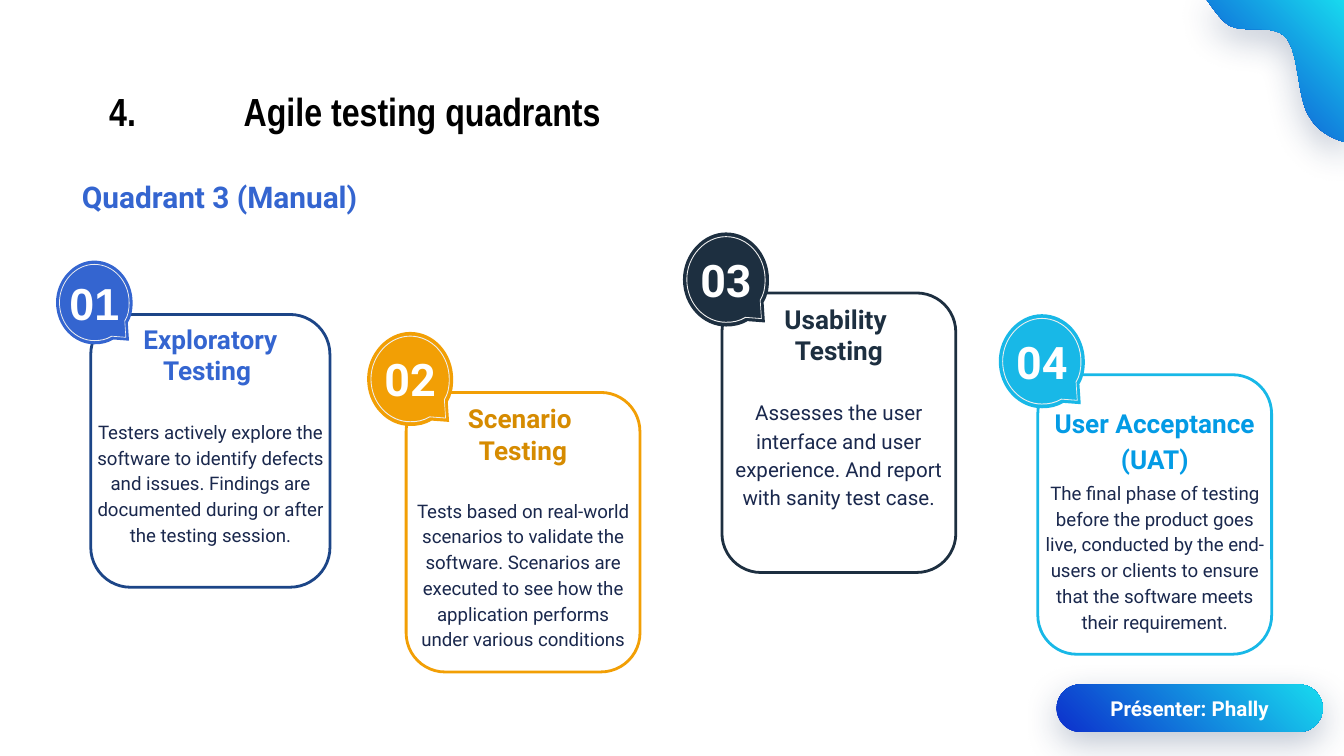
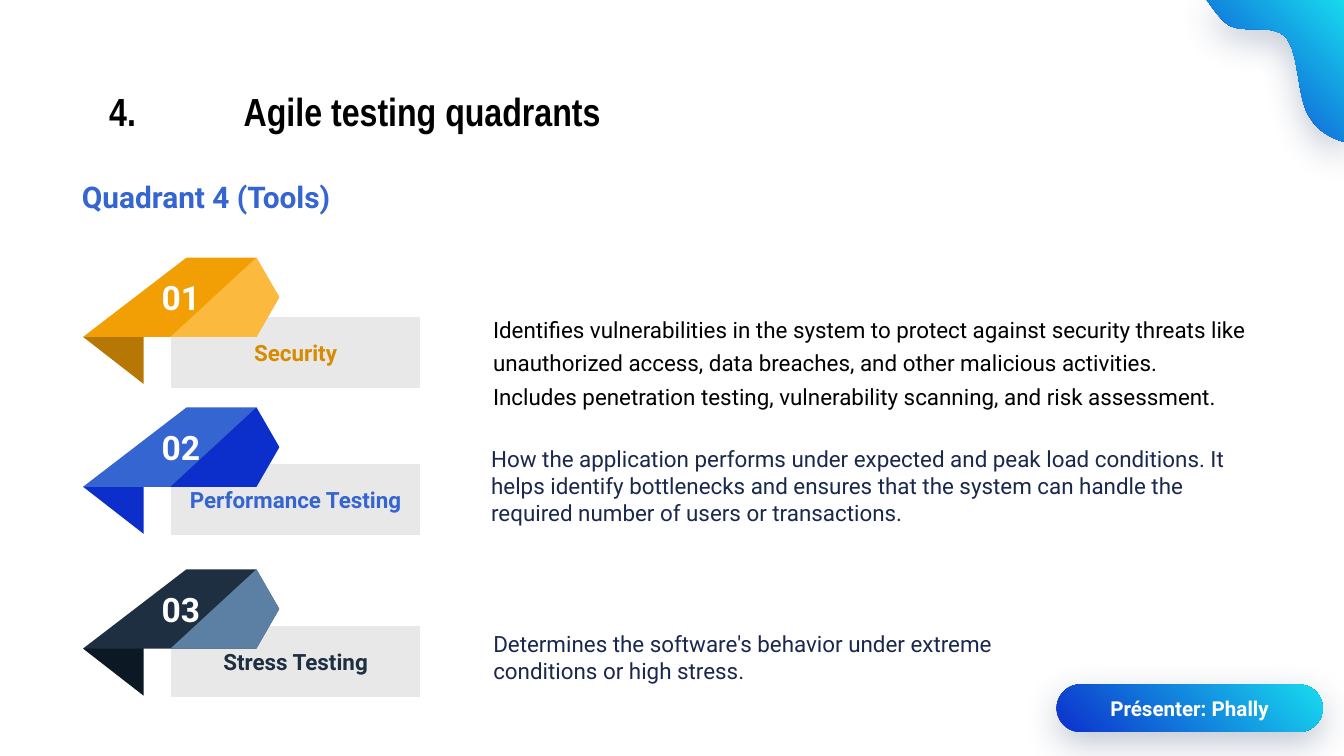
from dataclasses import dataclass
from lxml.etree import SubElement
from pptx import Presentation
from pptx.dml.color import RGBColor
from pptx.enum.shapes import MSO_SHAPE
from pptx.enum.text import MSO_ANCHOR, PP_ALIGN
from pptx.oxml.ns import qn
from pptx.util import Emu, Pt


@dataclass(frozen=True)
class Theme:
    font: str = "Roboto"
    title_font: str = "Arial Narrow"
    black: str = "000000"
    white: str = "FFFFFF"
    ink: str = "1A284D"
    blue: str = "3465D0"
    deep_blue: str = "0C2FCC"
    navy_line: str = "1C4587"
    cyan: str = "18B8E7"
    bright_cyan: str = "18DBEF"
    sky: str = "039BE5"
    orange: str = "F29F05"
    amber: str = "D68B00"
    light_orange: str = "FBB93E"
    brown: str = "B67704"
    slate: str = "1D2F40"
    steel: str = "5B80A3"
    night: str = "0C1823"
    ring: str = "EEEEEE"
    label_fill: str = "E8E8E8"
    shadow: str = "1F3864"
    title: int = 21
    subtitle: int = 16
    card_number: int = 24
    fold_number: int = 18
    heading: int = 14
    label: int = 12
    small: int = 11
    tiny: int = 10


THEME = Theme()

# Grid: 100 columns across the slide, square cells
COLUMN = 91440
COLUMNS, ROWS = 100, 56.25

# Outlines in grid cells: 2 values are a straight line, 6 values a curve
BUBBLE = [(3.2, 0), (1.5, 0, 0, 1.6, 0, 3.5), (0, 5.5, 1.5, 7, 3.2, 7),
          (3.8, 7, 4.3, 6.9, 4.8, 6.6), (6.1, 6.7), (6, 5.2),
          (6.3, 4.7, 6.4, 4.2, 6.4, 3.5), (6.4, 1.6, 5, 0, 3.2, 0)]
BUBBLE_SIZE = (6.4, 7)
RING_SHARES = (0.92, 0.9)
CORNER_WAVE = [(100.2, 10.6), (100.2, 0), (89.8, 0),
               (90.3, 0.7, 90.8, 1.4, 91.2, 1.7),
               (92.3, 2.7, 94.6, 1.6, 95.7, 2.8),
               (96.7, 4, 96.5, 7.5, 97.5, 8.8),
               (98.1, 9.8, 99.1, 10.3, 100.1, 10.6)]
FOLD_FRONT = [(7.7, 0), (0, 5.9), (12.9, 5.9), (14.6, 2.95), (12.9, 0)]
FOLD_TIP = [(12.9, 0), (6.5, 5.9), (12.9, 5.9), (14.6, 2.95)]
FOLD_BACK = [(4.5, 4.3), (0, 5.9), (4.5, 9.4)]


def cells(*values):
    return [Emu(round(value * COLUMN)) for value in values]


def rgb(value):
    return RGBColor.from_string(value)


def paint(shape, fill=None, line=None):
    shape.shadow.inherit = False
    if fill:
        shape.fill.solid()
        shape.fill.fore_color.rgb = rgb(fill)
    else:
        shape.fill.background()
    if line:
        shape.line.color.rgb = rgb(line)
        shape.line.width = Pt(1.5)
    else:
        shape.line.fill.background()
    return shape


def paint_brand(shape):
    """Blue to cyan gradient with a soft shadow below."""
    paint(shape)
    shape.fill.gradient()
    shape.fill.gradient_angle = 45
    for stop, color in zip(shape.fill.gradient_stops, (THEME.deep_blue, THEME.bright_cyan)):
        stop.color.rgb = rgb(color)
    effects = shape._element.spPr.find(qn("a:effectLst"))
    shadow = SubElement(effects, qn("a:outerShdw"), blurRad=str(Pt(19)), dist=str(Pt(6)),
                        dir="5400000", algn="bl", rotWithShape="0")
    color = SubElement(shadow, qn("a:srgbClr"), val=THEME.shadow)
    SubElement(color, qn("a:alpha"), val="28000")
    return shape


def write(shape, text, size, color, font=THEME.font, bold=False, align=PP_ALIGN.LEFT,
          anchor=MSO_ANCHOR.TOP, insets=(1, 1, 1, 1), spacing=None, after=0,
          wrap=True, tab=None):
    frame = shape.text_frame
    frame.word_wrap = wrap
    frame.vertical_anchor = anchor
    (frame.margin_left, frame.margin_top,
     frame.margin_right, frame.margin_bottom) = cells(*insets)
    paragraph = frame.paragraphs[0]
    paragraph.text = text.replace("\n", "\v")
    paragraph.alignment = align
    paragraph.space_after = Pt(after)
    if spacing:
        paragraph.line_spacing = spacing
    if tab:
        stops = SubElement(paragraph._p.get_or_add_pPr(), qn("a:tabLst"))
        SubElement(stops, qn("a:tab"), pos=str(cells(tab)[0]), algn="l")
    for run in paragraph.runs:
        run.font.name = font
        run.font.size = Pt(size)
        run.font.bold = bold
        run.font.color.rgb = rgb(color)


def add_text(slide, box, text, size, color, **style):
    write(slide.shapes.add_textbox(*cells(*box)), text, size, color, **style)


def place(outline, left=0, top=0, scale=1):
    """Scale and move an outline; each segment becomes a list of points in EMU."""
    return [[cells(left + x * scale, top + y * scale)
             for x, y in zip(segment[::2], segment[1::2])] for segment in outline]


def add_outline(slide, *contours):
    builder = slide.shapes.build_freeform(*contours[0][0][-1])
    for index, contour in enumerate(contours):
        ends = [segment[-1] for segment in contour]
        if index:
            builder.move_to(*ends[0])
        builder.add_line_segments(ends[1:], close=True)
    shape = builder.convert_to_shape()

    # Bend the segments that have control points
    segments = [segment for contour in contours for segment in contour[1:]]
    for straight, points in zip(list(shape._element.iter(qn("a:lnTo"))), segments):
        if len(points) == 3:
            straight.tag = qn("a:cubicBezTo")
            straight.remove(straight[0])
            for x, y in points:
                SubElement(straight, qn("a:pt"), x=str(x - shape.left), y=str(y - shape.top))
    return shape


def add_round_box(slide, box, rounding):
    shape = slide.shapes.add_shape(MSO_SHAPE.ROUNDED_RECTANGLE, *cells(*box))
    shape.adjustments[0] = rounding
    return shape


CENTERED = dict(align=PP_ALIGN.CENTER, anchor=MSO_ANCHOR.MIDDLE)


def add_frame(slide, subtitle):
    """Title, subtitle, corner wave and presenter pill."""
    paint_brand(add_outline(slide, place(CORNER_WAVE)))
    pill = paint_brand(add_round_box(slide, (78.62, 50.93, 19.8, 3.53), 0.5))
    write(pill, "Présenter: Phally", THEME.small, THEME.white, bold=True,
          insets=(1, 0.5, 1, 0.5), **CENTERED)
    add_text(slide, (7.14, 5.85, 67.8, 5.3), "4.\tAgile testing quadrants", THEME.title,
             THEME.black, font=THEME.title_font, bold=True, spacing=0.9,
             anchor=MSO_ANCHOR.MIDDLE, tab=10)
    add_text(slide, (5.12, 12.3, 33.4, 4.7), subtitle, THEME.subtitle, THEME.blue,
             bold=True, after=10)


@dataclass
class Card:
    number: str
    heading: str
    body: str
    box: tuple
    fill: str
    heading_color: str
    body_height: float
    line: str = ""
    scale: float = 1
    number_font: str = THEME.font
    heading_drop: float = 0.75
    heading_spacing: float = 1
    body_drop: float = 7.62
    body_inset: float = 0.55
    body_size: int = THEME.tiny
    body_anchor: MSO_ANCHOR = MSO_ANCHOR.TOP


def add_card(slide, card):
    left, top, width, height = card.box
    paint(add_round_box(slide, card.box, 0.167), line=card.line or card.fill)

    # Numbered bubble with its inner ring
    bubble_left, bubble_top = left - 2.9 * card.scale, top - 4.5 * card.scale
    bubble = paint(add_outline(slide, place(BUBBLE, bubble_left, bubble_top, card.scale)),
                   card.fill)
    write(bubble, card.number, THEME.card_number, THEME.white, font=card.number_font,
          bold=True, wrap=False, **CENTERED)
    rims = []
    for share in RING_SHARES:
        inset_x, inset_y = (side * card.scale * (1 - share) / 2 for side in BUBBLE_SIZE)
        rims.append(place(BUBBLE, bubble_left + inset_x, bubble_top + inset_y,
                          card.scale * share))
    paint(add_outline(slide, *rims), THEME.ring)

    add_text(slide, (left + card.body_inset, top + card.body_drop,
                     width - 2 * card.body_inset, card.body_height),
             card.body, card.body_size, THEME.ink, align=PP_ALIGN.CENTER,
             anchor=card.body_anchor, insets=(0, 0.1, 0, 0), spacing=1.15)
    add_text(slide, (left, top + card.heading_drop, width, 4.7), card.heading,
             THEME.heading, card.heading_color, bold=True, after=10,
             spacing=card.heading_spacing, **CENTERED)


def card_box(column, top):
    return (6.72 + 23.5 * column, top, 17.4, 20.8)


CARDS = [
    Card("01", "Exploratory Testing ",
         "Testers actively explore the software to identify defects and issues. "
         "Findings are documented during or after the testing session.",
         (6.75, 23.4, 17.8, 20.3), THEME.blue, THEME.blue, 10.6, line=THEME.navy_line,
         scale=0.89, number_font="Arial", heading_drop=0.65, body_drop=7.1,
         body_inset=0.45, body_anchor=MSO_ANCHOR.MIDDLE),
    Card("02", "Scenario \nTesting",
         "Tests based on real-world scenarios to validate the software. Scenarios are "
         "executed to see how the application performs under various conditions",
         card_box(1, 29.2), THEME.orange, THEME.amber, 12),
    Card("03", "Usability \nTesting",
         "Assesses the user interface and user experience. "
         "And report with sanity test case.",
         card_box(2, 21.8), THEME.slate, THEME.slate, 11.1, body_size=THEME.small),
    Card("04", "User Acceptance (UAT)",
         "The final phase of testing before the product goes live, conducted by the "
         "end-users or clients to ensure that the software meets their requirement.",
         card_box(3, 27.88), THEME.cyan, THEME.sky, 14.1, heading_drop=2.4,
         heading_spacing=1.15),
]


@dataclass
class Tool:
    number: str
    label: str
    body: str
    top: float
    body_box: tuple
    front: str
    tip: str
    back: str
    label_color: str
    label_drop: float = 4.2
    body_color: str = THEME.ink
    body_spacing: float = 1


def add_tool(slide, tool):
    label = add_outline(slide, place([(0, 0), (0, 5.27), (18.54, 5.27), (18.54, 0)],
                                     12.73, tool.top + tool.label_drop))
    write(paint(label, THEME.label_fill), tool.label, THEME.label, tool.label_color,
          bold=True, after=10, **CENTERED)

    # Folded ribbon
    for outline, color in ((FOLD_BACK, tool.back), (FOLD_FRONT, tool.front),
                           (FOLD_TIP, tool.tip)):
        paint(add_outline(slide, place(outline, 6.18, tool.top)), color)
    add_text(slide, (7.82, tool.top + 0.68, 11.3, 4.5), tool.number, THEME.fold_number,
             THEME.white, bold=True, **CENTERED)

    add_text(slide, tool.body_box, tool.body, THEME.label, tool.body_color,
             spacing=tool.body_spacing)


TOOLS = [
    Tool("01", "Security",
         "Identifies vulnerabilities in the system to protect against security threats like "
         "unauthorized access, data breaches, and other malicious activities. "
         "Includes penetration testing, vulnerability scanning, and risk assessment.",
         19.17, (35.7, 22, 58.1, 9.2), THEME.orange, THEME.light_orange, THEME.brown,
         THEME.amber, label_drop=4.4, body_color=THEME.black, body_spacing=1.25),
    Tool("02", "Performance Testing",
         "How the application performs under expected and peak load conditions. It helps "
         "identify bottlenecks and ensures that the system can handle the required number "
         "of users or transactions.",
         30.32, (35.56, 32.15, 56.8, 10.6), THEME.blue, THEME.deep_blue, THEME.deep_blue,
         THEME.blue),
    Tool("03", "Stress Testing",
         "Determines the software's behavior under extreme conditions or high stress.",
         42.36, (35.72, 45.9, 41.6, 4.9), THEME.slate, THEME.steel, THEME.night,
         THEME.slate),
]


def main():
    deck = Presentation()
    deck.slide_width, deck.slide_height = cells(COLUMNS, ROWS)
    for subtitle, add_item, items in (("Quadrant 3 (Manual)", add_card, CARDS),
                                      ("Quadrant 4 (Tools)", add_tool, TOOLS)):
        slide = deck.slides.add_slide(deck.slide_layouts[6])
        add_frame(slide, subtitle)
        for item in items:
            add_item(slide, item)
    deck.save("out.pptx")


if __name__ == "__main__":
    main()
